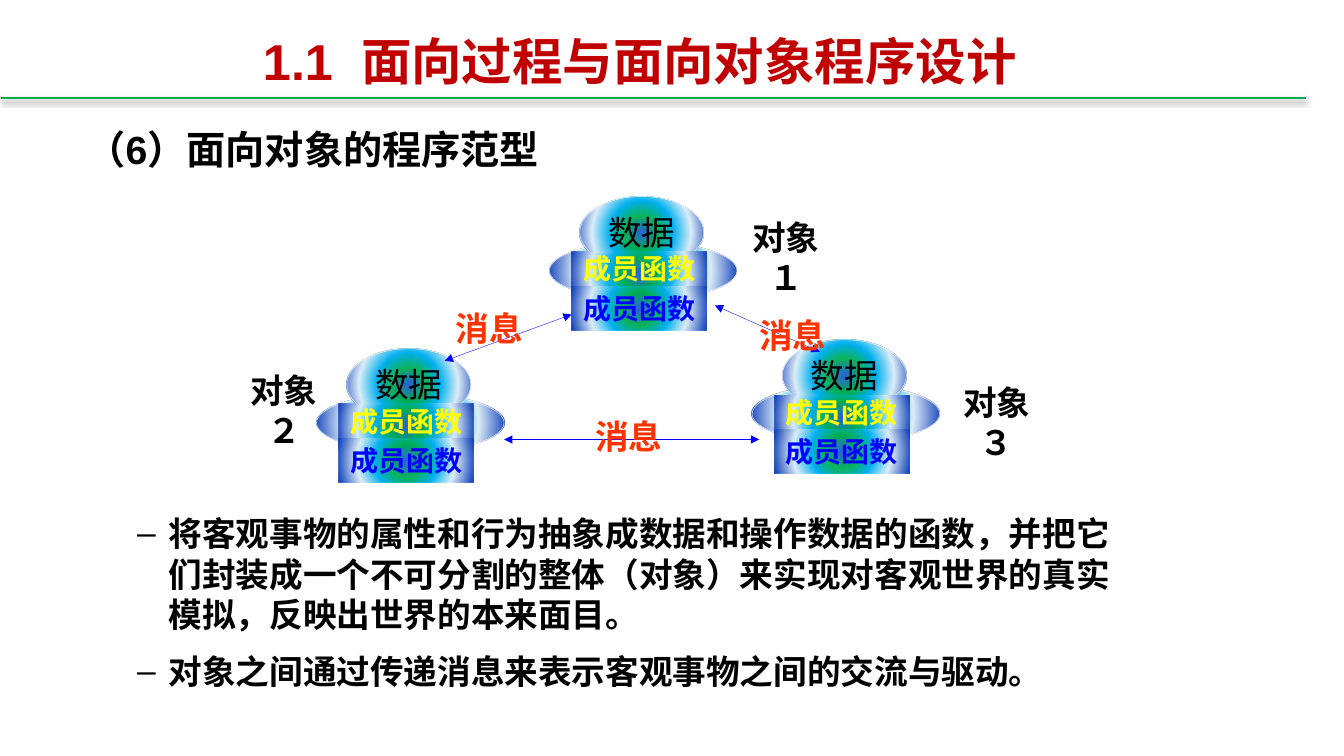
from lxml import etree
from pptx import Presentation
from pptx.dml.color import RGBColor
from pptx.enum.shapes import MSO_CONNECTOR, MSO_SHAPE
from pptx.enum.text import MSO_ANCHOR, MSO_AUTO_SIZE, PP_ALIGN
from pptx.oxml import parse_xml
from pptx.oxml.ns import nsdecls, qn
from pptx.util import Pt

PX = 9144  # 100 px to the inch
OVAL, RECTANGLE = MSO_SHAPE.OVAL, MSO_SHAPE.RECTANGLE
STRAIGHT = MSO_CONNECTOR.STRAIGHT
TOP, MIDDLE = MSO_ANCHOR.TOP, MSO_ANCHOR.MIDDLE
LEFT, CENTER = PP_ALIGN.LEFT, PP_ALIGN.CENTER

GRADIENT_STOPS = [(0, "2A5FE3", 100), (23, "00B050", 95), (44, "00B0F0", 100),
                  (69, "DCEDF8", 100), (97, "1847BB", 100)]
GRADIENT = (
    f'<a:gradFill {nsdecls("a")} rotWithShape="1"><a:gsLst>'
    + "".join(f'<a:gs pos="{position * 1000}"><a:srgbClr val="{color}">'
              f'<a:alpha val="{alpha * 1000}"/></a:srgbClr></a:gs>'
              for position, color, alpha in GRADIENT_STOPS)
    + '</a:gsLst><a:path path="circle">'
      '<a:fillToRect l="50000" t="50000" r="50000" b="50000"/></a:path></a:gradFill>')
RULE_SHADOW = (
    f'<a:effectLst {nsdecls("a")}><a:outerShdw blurRad="50800" dist="31750" dir="5400000">'
    '<a:srgbClr val="000000"><a:alpha val="47000"/></a:srgbClr></a:outerShdw></a:effectLst>')


def rgb(color):
    return RGBColor.from_string(color)


def write(shape, lines, size, color, font="Times New Roman", bold=True,
          align=CENTER, anchor=TOP, wrap=True):
    frame = shape.text_frame
    frame.text = "\n".join(lines)
    frame.word_wrap = wrap
    frame.auto_size = MSO_AUTO_SIZE.NONE
    frame.vertical_anchor = anchor
    for paragraph in frame.paragraphs:
        paragraph.alignment = align
        paragraph.font.name = font
        paragraph.font.size = Pt(size)
        paragraph.font.bold = bold
        paragraph.font.color.rgb = rgb(color)


presentation = Presentation()
presentation.slide_width, presentation.slide_height = 1333 * PX, 750 * PX
slide = presentation.slides.add_slide(presentation.slide_layouts[1])
shapes = slide.shapes

# Rule under the title
rule = shapes.add_connector(STRAIGHT, 1 * PX, 97 * PX, 1295 * PX, 97 * PX)
rule.line.color.rgb = rgb("00B050")
rule.line.width = Pt(1.25)
rule.element.spPr.append(parse_xml(RULE_SHADOW))

# Title
title = shapes.title
title.left, title.top, title.width, title.height = 186 * PX, 12 * PX, 897 * PX, 95 * PX
write(title, ["1.1  面向过程与面向对象程序设计"], 36, "C00000", "Arial", anchor=MIDDLE)

# Explanation list
body = slide.placeholders[1]
body.left, body.top, body.width, body.height = 76 * PX, 504 * PX, 1063 * PX, 204 * PX
body.fill.solid()
body.fill.fore_color.rgb = rgb("FFFFFF")
write(body, [
    "将客观事物的属性和行为抽象成数据和操作数据的函数，并把它们封装成一个不可分割的整体（对象）"
    "来实现对客观世界的真实模拟，反映出世界的本来面目。",
    "对象之间通过传递消息来表示客观事物之间的交流与驱动。",
], 24, "000000", "Arial", align=LEFT)
for paragraph in body.text_frame.paragraphs:
    paragraph.level = 1  # second level: dash bullet
    paragraph.space_before = paragraph.space_after = Pt(6)

# Three objects: ring, data and two member functions, placed from the object's corner
# The upper function's text sits at its top edge, clear of the lower function
object_parts = [
    (OVAL, 0, 45, 186, 57, 5, "", 24, "000000"),
    (OVAL, 30, 0, 123, 71, 5, "数据", 24, "000000"),
    (RECTANGLE, 22, 55, 134, 44, 0, "成员函数", 20, "FFFF00"),
    (RECTANGLE, 22, 89, 134, 44, 5, "成员函数", 20, "0000FF"),
]
for object_left, object_top in [(545, 195), (314, 346), (746, 337)]:
    for kind, left, top, width, height, margin_top, text, size, color in object_parts:
        part = shapes.add_shape(kind, (object_left + left) * PX, (object_top + top) * PX,
                                width * PX, height * PX)
        part.shadow.inherit = False
        part.element.spPr.insert(2, parse_xml(GRADIENT))
        is_oval = kind == OVAL
        if is_oval:
            part.line.color.rgb = rgb("FFFFFF")
            part.line.width = Pt(0.25)
        else:
            part.line.fill.background()
        if text:
            write(part, [text], size, color, bold=not is_oval,
                  anchor=MIDDLE if is_oval else TOP, wrap=not is_oval)
            part.text_frame.margin_top = margin_top * PX

# Message arrows
for x1, y1, x2, y2 in [(441, 358, 567, 312), (500, 436, 753, 436), (709, 303, 813, 349)]:
    arrow = shapes.add_connector(STRAIGHT, x1 * PX, y1 * PX, x2 * PX, y2 * PX)
    arrow.line.color.rgb = rgb("0000FF")
    arrow.line.width = Pt(0.25)
    line_xml = arrow.element.spPr.find(qn("a:ln"))
    for end in ("a:headEnd", "a:tailEnd"):
        etree.SubElement(line_xml, qn(end), type="triangle")
    etree.SubElement(arrow.element.spPr, qn("a:effectLst"))

# Object and message labels
labels = [
    (720, 210, 119, 91, "对象１", "000000"),
    (222, 362, 119, 91, "对象２", "000000"),
    (929, 374, 119, 91, "对象３", "000000"),
    (437, 301, 97, 51, "消息", "FF3300"),
    (575, 408, 97, 51, "消息", "FF3300"),
    (738, 307, 97, 51, "消息", "FF3300"),
]
for left, top, width, height, text, color in labels:
    label = shapes.add_textbox(left * PX, top * PX, width * PX, height * PX)
    write(label, [text], 24, color)

# Section heading
heading = shapes.add_textbox(76 * PX, 109 * PX, 656 * PX, 68 * PX)
write(heading, ["（6）面向对象的程序范型"], 28, "000000", "Arial", align=LEFT, anchor=MIDDLE)
heading.text_frame.paragraphs[0].line_spacing = 1.2

presentation.save("out.pptx")
